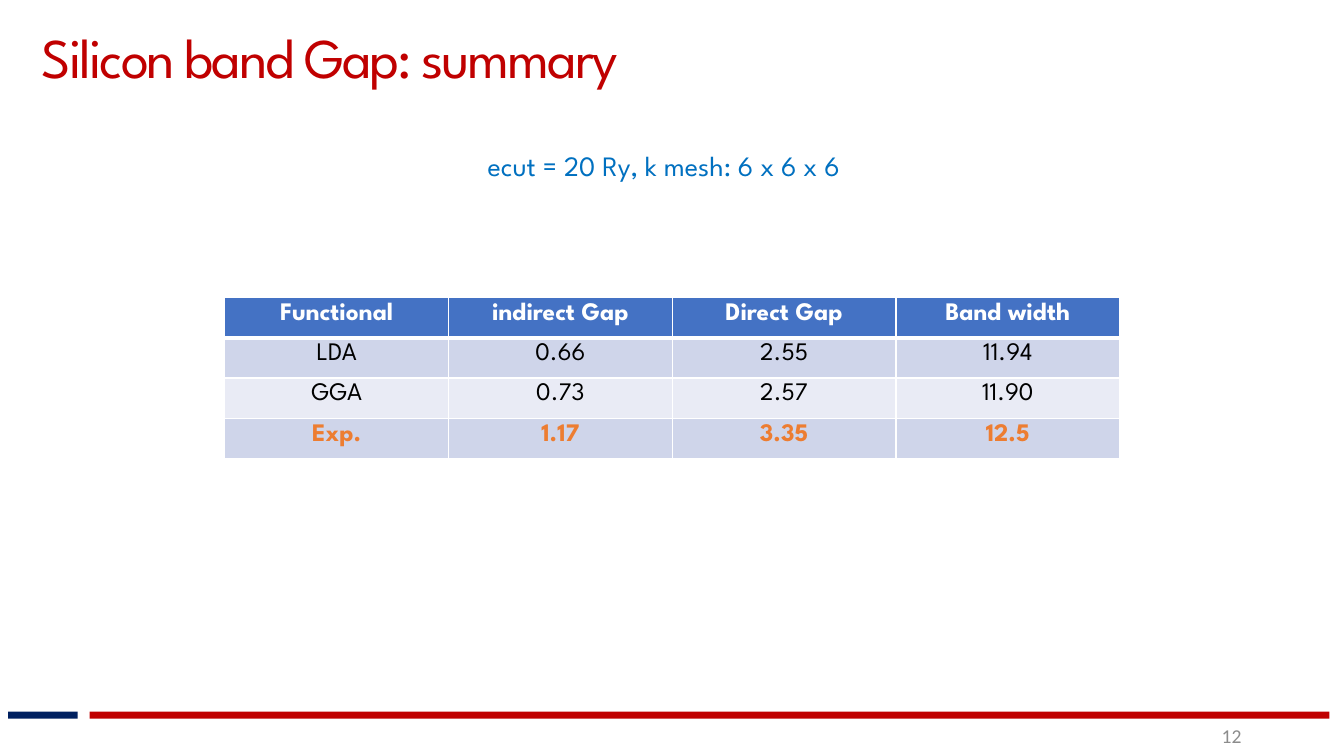
from dataclasses import dataclass

from lxml import etree
from pptx import Presentation
from pptx.dml.color import RGBColor
from pptx.enum import shapes, text
from pptx.oxml import ns
from pptx.util import Pt


@dataclass(frozen=True)
class Theme:
    red: str = "C00000"
    navy: str = "002060"
    blue: str = "0070C0"
    header: str = "4472C4"
    bands: tuple = ("CFD5EA", "E9EBF5")
    accent: str = "ED7D31"
    grey: str = "8C8C8C"
    black: str = "000000"
    white: str = "FFFFFF"
    font: str = "League Spartan"
    number_font: str = "Calibri"
    title_size: int = 40
    caption_size: int = 20
    table_size: int = 18
    number_size: int = 14


THEME = Theme()
ALIGN = text.PP_ALIGN
ANCHOR = text.MSO_ANCHOR
GAPS = [
    ("Functional", "indirect Gap", "Direct Gap", "Band width"),
    ("LDA", "0.66", "2.55", "11.94"),
    ("GGA", "0.73", "2.57", "11.90"),
    ("Exp.", "1.17", "3.35", "12.5"),
]


def rgb(colour):
    return RGBColor.from_string(colour)


def write(frame, words, size, colour, bold=False, font=THEME.font, align=ALIGN.LEFT):
    """Put one formatted run into a text frame and return it."""
    paragraph = frame.paragraphs[0]
    paragraph.alignment = align
    run = paragraph.add_run()
    run.text = words
    for key, value in {"name": font, "size": Pt(size), "bold": bold}.items():
        setattr(run.font, key, value)
    run.font.color.rgb = rgb(colour)
    return run


def add_label(slide, box, words, size, colour, layout, **style):
    frame = slide.shapes.add_textbox(*map(Pt, box)).text_frame
    for key, value in {"word_wrap": True, **layout}.items():
        setattr(frame, key, value)
    return write(frame, words, size, colour, **style)


def add_bar(slide, left, width, colour):
    bar = slide.shapes.add_shape(
        shapes.MSO_SHAPE.RECTANGLE, Pt(left), Pt(508.3), Pt(width), Pt(5))
    bar.shadow.inherit = False
    bar.fill.solid()
    bar.fill.fore_color.rgb = rgb(colour)
    bar.line.fill.background()


def add_borders(cell, bottom):
    """Draw white cell edges, 1 pt wide except for the bottom one."""
    properties = cell._tc.get_or_add_tcPr()
    edges = {"lnL": 1, "lnR": 1, "lnT": 1, "lnB": bottom}
    for position, (edge, width) in enumerate(edges.items()):
        line = etree.Element(ns.qn(f"a:{edge}"), w=str(Pt(width)))
        fill = etree.SubElement(line, ns.qn("a:solidFill"))
        etree.SubElement(fill, ns.qn("a:srgbClr"), val=THEME.white)
        properties.insert(position, line)


def add_gap_table(slide, left, top, column_width, row_height):
    rows, columns = len(GAPS), len(GAPS[0])
    table = slide.shapes.add_table(
        rows, columns, Pt(left), Pt(top),
        Pt(column_width * columns), Pt(row_height * rows)).table
    last = rows - 1
    text_colours = {0: THEME.white, last: THEME.accent}
    for r, values in enumerate(GAPS):
        band = THEME.bands[(r - 1) % 2] if r else THEME.header
        for c, value in enumerate(values):
            cell = table.cell(r, c)
            cell.fill.solid()
            cell.fill.fore_color.rgb = rgb(band)
            add_borders(cell, bottom=1 if r else 3)
            write(cell.text_frame, value, THEME.table_size,
                  text_colours.get(r, THEME.black),
                  bold=r in text_colours, align=ALIGN.CENTER)


def main():
    deck = Presentation()
    deck.slide_width, deck.slide_height = Pt(960), Pt(540)
    slide = deck.slides.add_slide(deck.slide_layouts[6])

    add_bar(slide, 5.8, 49.7, THEME.navy)
    add_bar(slide, 64, 885.6, THEME.red)
    add_label(slide, (678, 511.2, 216, 28.8), "12", THEME.number_size, THEME.grey,
              {"vertical_anchor": ANCHOR.MIDDLE},
              font=THEME.number_font, align=ALIGN.RIGHT)
    title = add_label(
        slide, (30, 0.7, 927, 79.2), "Silicon band Gap: summary",
        THEME.title_size, THEME.red,
        {"vertical_anchor": ANCHOR.MIDDLE, "margin_left": 0, "margin_top": 0,
         "margin_right": Pt(1.4), "margin_bottom": 0})
    title.font._element.set("spc", "-150")
    add_gap_table(slide, 160.6, 212.4, 159.8, 28.8)
    add_label(slide, (307.4, 102.2, 338.4, 31.7), "ecut = 20 Ry, k mesh: 6 x 6 x 6",
              THEME.caption_size, THEME.blue, {"margin_left": Pt(41)})
    deck.save("out.pptx")


if __name__ == "__main__":
    main()
